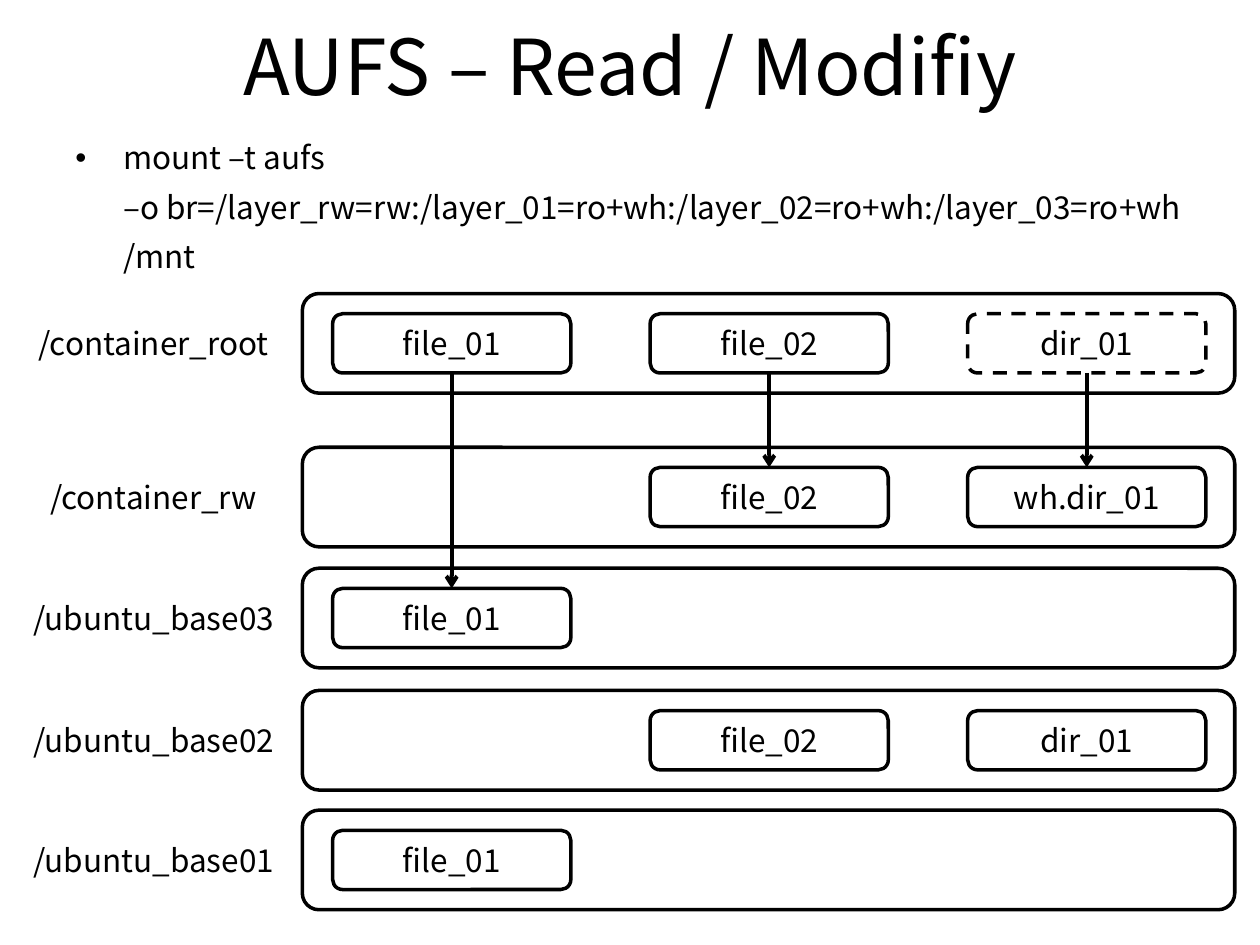
from lxml.etree import SubElement
from pptx import Presentation
from pptx.dml.color import RGBColor
from pptx.enum.dml import MSO_LINE_DASH_STYLE as DASH
from pptx.enum.shapes import MSO_CONNECTOR as CONN, MSO_SHAPE as SHAPE
from pptx.enum.text import MSO_ANCHOR as ANCHOR, PP_ALIGN as ALIGN
from pptx.oxml.ns import qn
from pptx.util import Inches, Pt

COLORS = {"ink": "000000", "paper": "FFFFFF"}
FONT = "Noto Sans CJK KR"
BAR_LEFT, BAR_W, BAR_H = 2.4, 7.4, 0.79
BOX_W, BOX_H = 1.89, 0.47
BOX_INSET, BOX_STEP = 0.24, 2.52
LABEL_LEFT, LABEL_W = 0.12, 2.2
LAYERS = [
    ("/container_root", 2.33, ["file_01", "file_02", "dir_01"]),
    ("/container_rw", 3.55, [None, "file_02", "wh.dir_01"]),
    ("/ubuntu_base03", 4.51, ["file_01", None, None]),
    ("/ubuntu_base02", 5.48, [None, "file_02", "dir_01"]),
    ("/ubuntu_base01", 6.43, ["file_01", None, None]),
]
REMOVED = ("/container_root", 2)
LOOKUPS = [("/ubuntu_base03", 0), ("/container_rw", 1), ("/container_rw", 2)]


def rgb(name):
    """Return a named colour."""
    return RGBColor.from_string(COLORS[name])


def format_runs(p, size):
    """Apply the slide's font to every run of a paragraph."""
    for r in p.runs:
        r.font.name = FONT
        r.font.size = Pt(size)
        r.font.color.rgb = rgb("ink")


def set_title(s, text):
    """Fill and place the title placeholder."""
    sp = s.shapes.title
    sp.left, sp.top, sp.width, sp.height = map(Inches, (0.5, -0.11, 9, 1.25))
    tf = sp.text_frame
    tf.text = text
    tf.vertical_anchor = ANCHOR.MIDDLE
    tf.paragraphs[0].alignment = ALIGN.CENTER
    format_runs(tf.paragraphs[0], 44)


def add_bullet(s, text):
    """Add the bulleted mount command."""
    tf = s.shapes.add_textbox(*map(Inches, (0.5, 0.96, 9, 1.37))).text_frame
    tf.word_wrap = True
    tf.text = text
    p = tf.paragraphs[0]
    pPr = p._p.get_or_add_pPr()
    pPr.set("marL", str(Inches(0.38)))
    pPr.set("indent", str(-Inches(0.38)))
    SubElement(pPr, qn("a:buFont"), typeface="Arial")
    SubElement(pPr, qn("a:buChar"), char="•")
    p.line_spacing = 1.3
    format_runs(p, 18)


def add_box(s, left, top, width, height, text="", outlined=True, dashed=False):
    """Add a rounded box with centred text."""
    sp = s.shapes.add_shape(SHAPE.ROUNDED_RECTANGLE, *map(Inches, (left, top, width, height)))
    sp.shadow.inherit = False
    sp.fill.solid()
    sp.fill.fore_color.rgb = rgb("paper")
    if outlined:
        sp.line.color.rgb = rgb("ink")
        sp.line.width = Pt(2)
    else:
        sp.line.fill.background()
    if dashed:
        sp.line.dash_style = DASH.DASH
    if text:
        tf = sp.text_frame
        tf.text = text
        tf.word_wrap = False
        tf.vertical_anchor = ANCHOR.MIDDLE
        tf.paragraphs[0].alignment = ALIGN.CENTER
        format_runs(tf.paragraphs[0], 18)
    return sp


def add_layer(s, label, top, names):
    """Add one layer and return its entry boxes by label and column."""
    add_box(s, BAR_LEFT, top, BAR_W, BAR_H)
    box_top = top + (BAR_H - BOX_H) / 2
    add_box(s, LABEL_LEFT, box_top, LABEL_W, BOX_H, label, outlined=False)
    boxes = {}
    for col, name in enumerate(names):
        if name:
            left = BAR_LEFT + BOX_INSET + col * BOX_STEP
            key = (label, col)
            boxes[key] = add_box(s, left, box_top, BOX_W, BOX_H, name, dashed=key == REMOVED)
    return boxes


def add_arrow(s, upper, lower):
    """Join the bottom of one box to the top of another."""
    cx = s.shapes.add_connector(CONN.STRAIGHT, 0, 0, 0, 0)
    cx.begin_connect(upper, 2)
    cx.end_connect(lower, 0)
    cx.line.color.rgb = rgb("ink")
    cx.line.width = Pt(2.25)
    SubElement(cx.line._get_or_add_ln(), qn("a:tailEnd"), type="arrow")
    SubElement(cx._element.spPr, qn("a:effectLst"))


def main():
    """Build the slide."""
    prs = Presentation()
    prs.slide_width, prs.slide_height = Inches(10), Inches(7.5)
    s = prs.slides.add_slide(prs.slide_layouts[5])
    set_title(s, "AUFS – Read / Modifiy")
    add_bullet(s, "mount –t aufs \v–o br=/layer_rw=rw:/layer_01=ro+wh:/layer_02=ro+wh:/layer_03=ro+wh /mnt")
    boxes = {}
    for layer in LAYERS:
        boxes.update(add_layer(s, *layer))
    for label, col in LOOKUPS:
        add_arrow(s, boxes["/container_root", col], boxes[label, col])
    prs.save("out.pptx")


if __name__ == "__main__":
    main()
